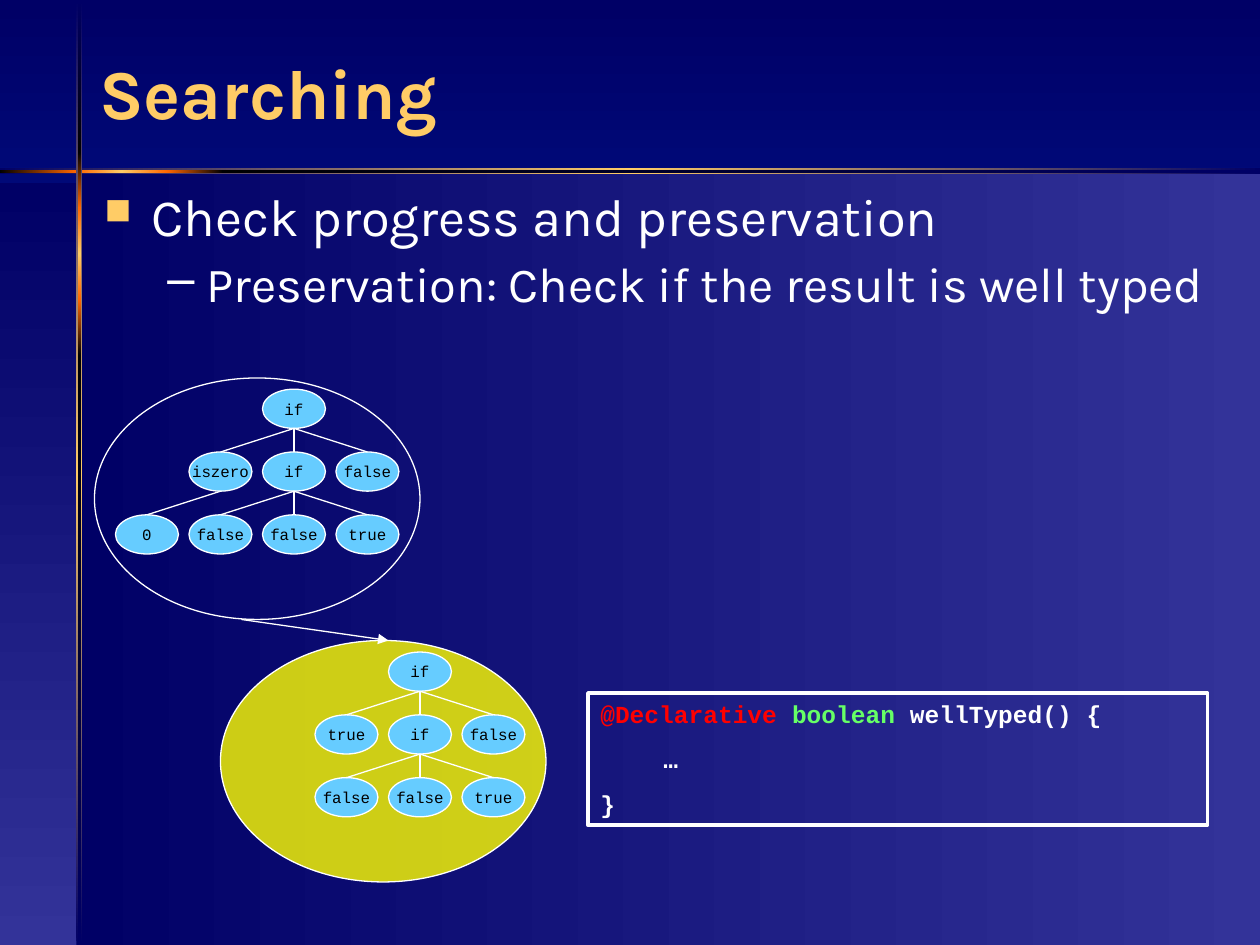
from copy import deepcopy

from lxml.etree import SubElement
from pptx import Presentation
from pptx.dml.color import RGBColor
from pptx.enum.shapes import MSO_CONNECTOR, MSO_SHAPE
from pptx.enum.text import MSO_ANCHOR, PP_ALIGN
from pptx.oxml.ns import qn
from pptx.util import Pt

NAVY = RGBColor(0x00, 0x00, 0x66)
ROYAL = RGBColor(0x00, 0x33, 0xCC)
INDIGO = RGBColor(0x33, 0x33, 0x99)
GOLD = RGBColor(0xFF, 0xCC, 0x66)
ORANGE = RGBColor(0xFF, 0x66, 0x00)
YELLOW = RGBColor(0xFF, 0xFF, 0x00)
SKY = RGBColor(0x66, 0xCC, 0xFF)
RED = RGBColor(0xFF, 0x00, 0x00)
GREEN = RGBColor(0x66, 0xFF, 0x66)
WHITE = RGBColor(0xFF, 0xFF, 0xFF)
BLACK = RGBColor(0x00, 0x00, 0x00)

DOWN, LEFTWARD = 270, 180
NODE_WIDTH, NODE_HEIGHT = 36, 22.4
COLUMN_STEP, ROW_STEP = 42, 35.9


class SlideBuilder:
    text_font = "Karla"
    code_font = "Courier New"
    line_width = 0.75

    def __init__(self, slide):
        self.slide = slide

    def gradient(self, fill, colors, angle):
        fill.gradient()
        fill.gradient_angle = angle
        stop_list = fill.gradient_stops[0]._gs.getparent()
        while len(stop_list) < len(colors):
            stop_list.append(deepcopy(stop_list[0]))
        for index, (stop, color) in enumerate(zip(fill.gradient_stops, colors)):
            stop.color.rgb = color
            stop.position = index / (len(colors) - 1)

    def shape(self, kind, left, top, width, height, fill=None, line=None):
        shape = self.slide.shapes.add_shape(
            kind, Pt(left), Pt(top), Pt(width), Pt(height))
        shape.shadow.inherit = False
        if fill is None:
            shape.fill.background()
        else:
            shape.fill.solid()
            shape.fill.fore_color.rgb = fill
        if line is None:
            shape.line.fill.background()
        else:
            shape.line.color.rgb = WHITE
            shape.line.width = Pt(line)
        return shape

    def panel(self, left, top, width, height, colors, angle):
        shape = self.shape(MSO_SHAPE.RECTANGLE, left, top, width, height)
        self.gradient(shape.fill, colors, angle)

    def cloud(self, left, top, fill=None, opacity=100):
        shape = self.shape(MSO_SHAPE.OVAL, left, top, 186, 138, fill, self.line_width)
        if opacity < 100:
            color = shape._element.spPr.find(f".//{qn('a:srgbClr')}")
            SubElement(color, qn("a:alpha"), val=str(opacity * 1000))

    def node(self, left, top, label):
        shape = self.shape(MSO_SHAPE.OVAL, left, top, NODE_WIDTH, NODE_HEIGHT,
                           SKY, self.line_width)
        frame = shape.text_frame
        frame.word_wrap = False
        frame.vertical_anchor = MSO_ANCHOR.MIDDLE
        paragraph = frame.paragraphs[0]
        paragraph.text = label
        paragraph.alignment = PP_ALIGN.CENTER
        self.style(paragraph.font, self.code_font, 9, BLACK)
        return shape

    def connector(self, begin_x, begin_y, end_x, end_y, arrow=False):
        connector = self.slide.shapes.add_connector(
            MSO_CONNECTOR.STRAIGHT, begin_x, begin_y, end_x, end_y)
        connector.line.color.rgb = WHITE
        connector.line.width = Pt(self.line_width)
        properties = connector._element.spPr
        if arrow:
            SubElement(properties.find(qn("a:ln")), qn("a:tailEnd"), type="triangle")
        SubElement(properties, qn("a:effectLst"))
        return connector

    def branch(self, parent, child):
        connector = self.connector(
            parent.left + parent.width // 2, parent.top + parent.height,
            child.left + child.width // 2, child.top)
        connector.end_connect(child, 0)

    def tree(self, left, top, labels, branches):
        nodes = {
            (row, column): self.node(left + column * COLUMN_STEP,
                                     top + row * ROW_STEP, label)
            for (row, column), label in labels.items()
        }
        for parent, child in branches:
            self.branch(nodes[parent], nodes[child])

    def style(self, font, name, size, color, bold=False):
        font.name = name
        font.size = Pt(size)
        font.color.rgb = color
        font.bold = bold

    def text_box(self, left, top, width, height):
        box = self.slide.shapes.add_textbox(Pt(left), Pt(top), Pt(width), Pt(height))
        box.text_frame.word_wrap = True
        return box.text_frame

    def title(self, text):
        frame = self.text_box(49.7, 15.8, 653, 78.5)
        frame.vertical_anchor = MSO_ANCHOR.MIDDLE
        paragraph = frame.paragraphs[0]
        paragraph.line_spacing = 0.9
        run = paragraph.add_run()
        run.text = text
        self.style(paragraph.font, self.text_font, 40, GOLD, True)
        effects = SubElement(run._r.get_or_add_rPr(), qn("a:effectLst"))
        shadow = SubElement(effects, qn("a:outerShdw"), dist="38100", dir="2700000")
        SubElement(shadow, qn("a:srgbClr"), val=str(BLACK))

    def bullet(self, paragraph, text, size, space, margin, indent, mark, color, scale):
        paragraph.text = text
        paragraph.line_spacing = 0.85
        paragraph.space_before = Pt(space)
        properties = paragraph._p.get_or_add_pPr()
        properties.set("marL", str(Pt(margin)))
        properties.set("indent", str(Pt(-indent)))
        mark_color = SubElement(properties, qn("a:buClr"))
        SubElement(mark_color, qn("a:srgbClr"), val=str(color))
        SubElement(properties, qn("a:buSzPct"), val=str(scale * 1000))
        SubElement(properties, qn("a:buChar"), char=mark)
        self.style(paragraph.font, self.text_font, size, WHITE)

    def code(self, left, top, width, height, lines):
        shape = self.shape(MSO_SHAPE.RECTANGLE, left, top, width, height, line=2)
        frame = shape.text_frame
        frame.vertical_anchor = MSO_ANCHOR.TOP
        for index, pieces in enumerate(lines):
            paragraph = frame.add_paragraph() if index else frame.paragraphs[0]
            paragraph.alignment = PP_ALIGN.LEFT
            paragraph.space_before = Pt(8.8)
            self.style(paragraph.font, self.code_font, 14, WHITE, True)
            for text, color in pieces:
                run = paragraph.add_run()
                run.text = text
                run.font.color.rgb = color


def main():
    presentation = Presentation()
    presentation.slide_width, presentation.slide_height = Pt(720), Pt(540)
    slide = presentation.slides.add_slide(presentation.slide_layouts[6])
    builder = SlideBuilder(slide)
    builder.gradient(slide.background.fill, (NAVY, ROYAL), DOWN)

    glow = (ORANGE, GOLD, ORANGE)
    edge = (NAVY, GOLD, NAVY)
    for panel in (
        (44.5, 98, 675.5, 442, (INDIGO, NAVY), LEFTWARD),
        (0, 104.5, 44.5, 435.5, (NAVY, INDIGO), DOWN),
        (0, 96.2, 720, 3.4, edge, LEFTWARD),
        (95.7, 97, 31.7, 1.7, (BLACK, ORANGE), LEFTWARD),
        (0, 97, 43.7, 1.7, (ORANGE, BLACK), LEFTWARD),
        (127.4, 97, 592.6, 1.7, (NAVY, BLACK), LEFTWARD),
        (43.4, 97, 52.3, 1.7, glow, LEFTWARD),
        (43.7, 0, 3.3, 540, edge, DOWN),
        (44.5, 118.8, 1.7, 52.6, glow, DOWN),
        (44.5, 0.5, 1.7, 86.9, (NAVY, BLACK), DOWN),
        (44.5, 203, 1.7, 337, (BLACK, NAVY), DOWN),
        (44.5, 171.4, 1.7, 31.6, (ORANGE, BLACK), DOWN),
        (44.5, 87.4, 1.7, 31.4, (BLACK, ORANGE), DOWN),
    ):
        builder.panel(*panel)

    builder.cloud(126, 366, YELLOW, 80)
    builder.title("Searching")
    body = builder.text_box(52.6, 107.3, 653, 179.3)
    builder.bullet(body.paragraphs[0], "Check progress and preservation",
                   30, 15, 27, 27, "■", GOLD, 70)
    builder.bullet(body.add_paragraph(),
                   "Preservation: Check if the result is well typed",
                   28, 8.8, 58.5, 22.5, "–", WHITE, 100)
    builder.code(336, 396, 354, 75.6, (
        (("@Declarative ", RED), ("boolean ", GREEN), ("wellTyped() {", WHITE)),
        (("\t…", WHITE),),
        (("}", WHITE),),
    ))
    builder.connector(Pt(138), Pt(354), Pt(222), Pt(366), arrow=True)
    builder.cloud(54, 216)

    result_labels = {
        (0, 2): "if",
        (1, 1): "true", (1, 2): "if", (1, 3): "false",
        (2, 1): "false", (2, 2): "false", (2, 3): "true",
    }
    result_branches = [((row, 2), (row + 1, column))
                       for row in range(2) for column in (1, 2, 3)]
    start_labels = {**result_labels, (1, 1): "iszero", (2, 0): "0"}
    start_branches = result_branches + [((1, 1), (2, 0))]
    builder.tree(66, 222.4, start_labels, start_branches)
    builder.tree(138, 372.6, result_labels, result_branches)

    presentation.save("out.pptx")


if __name__ == "__main__":
    main()
